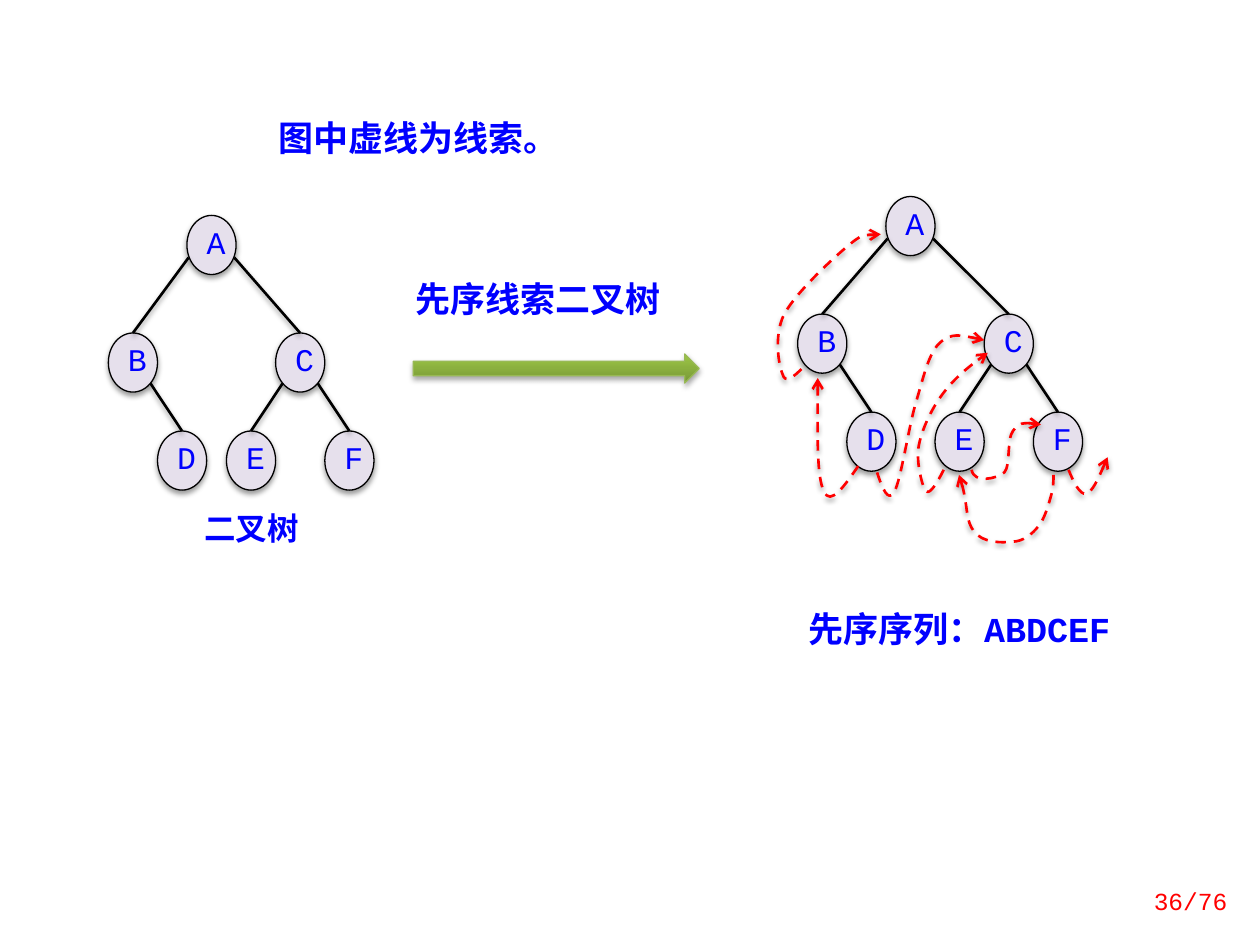
from dataclasses import dataclass
from lxml.etree import SubElement
from pptx import Presentation
from pptx.dml.color import RGBColor
from pptx.enum.dml import MSO_LINE_DASH_STYLE as Dash
from pptx.enum.shapes import MSO_CONNECTOR as Connector, MSO_SHAPE as Shape
from pptx.enum.text import MSO_ANCHOR as Anchor, PP_ALIGN as Align
from pptx.oxml.ns import qn
from pptx.util import Pt


@dataclass(frozen=True)
class Theme:
    """Colours, font and type sizes of the slide."""
    font: str = "Courier New"
    ink: str = "0000FF"
    accent: str = "FF0000"
    edge: str = "000000"
    node: str = "E6E0EC"
    arrow_dark: str = "779737"
    arrow_light: str = "9DC746"
    arrow_line: str = "98B955"
    heading: int = 20
    label: int = 18
    footer: int = 14


THEME = Theme()
NODE_W, NODE_H = 28.1, 33.8
LEVELS = (0, 67.2, 123.2)
THREADS = {
    "B to A": [(2.2, 98.6), (-2.2, 103), (-7.2, 107.3), (-8.6, 101.5), (-10.8, 96.5),
               (-13.7, 79.9), (-7.9, 67.7), (-1.4, 55.4), (18.7, 36.7), (28.1, 28.8),
               (37.4, 20.9), (42.5, 21.6), (47.5, 21.6)],
    "D to B": [(34.6, 154.1), (26.6, 165.6), (18.7, 177.1), (15.1, 168.5),
               (10.8, 160.6), (11.5, 131.8), (11.5, 103.7)],
    "D to C": [(45.4, 157.7), (48.2, 166.3), (51.8, 175.7), (55.4, 168.5), (59, 162),
               (63.4, 131.8), (67.7, 117.4), (72, 103), (74.9, 89.3), (81.4, 83.5),
               (87.8, 77.8), (97.2, 79.9), (106.6, 82.1)],
    "E to C": [(83.5, 156.2), (79.9, 163.4), (75.6, 170.6), (73.4, 168.5), (71.3, 166.3),
               (67.7, 151.9), (69.1, 143.3), (70.6, 133.9), (76.3, 121.7), (82.8, 113),
               (89.3, 104.4), (98.6, 96.5), (108.7, 89.3)],
    "E to F": [(99.4, 156.2), (100.8, 164.2), (113.8, 161.3), (118.1, 157.7),
               (121.7, 154.1), (119.5, 138.2), (123.1, 133.9), (126.7, 128.9),
               (133.9, 128.9), (139, 130.3)],
    "F to end": [(154.8, 156.2), (157.7, 163.4), (161.3, 170.6), (164.9, 169.9),
                 (168.5, 168.5), (172.8, 159.1), (177.1, 149)],
    "F to E": [(146.2, 159.1), (146.2, 162.7), (146.2, 166.3), (144.7, 171.4),
               (143.3, 176.4), (141.1, 184.3), (137.5, 188.6), (133.9, 193),
               (128.9, 197.3), (122.4, 197.3), (116.6, 198), (105.8, 198),
               (100.8, 191.5), (95.8, 185), (97.9, 175.7), (92.2, 159.1)],
}


def rgb(code):
    """Turn a hex code into a colour."""
    return RGBColor.from_string(code)


def cast_shadow(shape, opacity=38):
    """Give a finished shape or line a soft shadow below it."""
    effects = SubElement(shape.element.spPr, qn("a:effectLst"))
    shadow = SubElement(effects, qn("a:outerShdw"), blurRad=str(Pt(3.1)), dist=str(Pt(1.7)),
                        dir="5400000", rotWithShape="0")
    black = SubElement(shadow, qn("a:srgbClr"), val=THEME.edge)
    SubElement(black, qn("a:alpha"), val=str(opacity * 1000))


def set_line(shape, color, width):
    """Set the colour and width of an outline."""
    shape.line.color.rgb = rgb(color)
    shape.line.width = Pt(width)


def write(shape, text, size, color=THEME.ink, bold=False, align=Align.LEFT,
          anchor=Anchor.TOP, spacing=0.8):
    """Put one formatted line of text into a shape."""
    frame = shape.text_frame
    frame.word_wrap = True
    frame.vertical_anchor = anchor
    para = frame.paragraphs[0]
    para.alignment = align
    para.line_spacing = spacing
    span = para.add_run()
    span.text = text
    span.font.name = THEME.font
    span.font.size = Pt(size)
    span.font.bold = bold
    span.font.color.rgb = rgb(color)


def add_text(shapes, box, text, size, **style):
    """Add a text box in the given box."""
    write(shapes.add_textbox(*map(Pt, box)), text, size, **style)


def add_node(shapes, name, left, top):
    """Add one round tree node."""
    node = shapes.add_shape(Shape.OVAL, Pt(left), Pt(top), Pt(NODE_W), Pt(NODE_H))
    node.fill.solid()
    node.fill.fore_color.rgb = rgb(THEME.node)
    set_line(node, THEME.edge, 0.75)
    cast_shadow(node)
    write(node, name, THEME.label, align=Align.CENTER, anchor=Anchor.MIDDLE)
    return node


def add_edge(shapes, parent, child, inset, drop):
    """Join the lower flank of a parent to the top of its child."""
    goes_left = child.left < parent.left
    start = parent.left + (Pt(inset) if goes_left else parent.width - Pt(inset))
    edge = shapes.add_connector(Connector.STRAIGHT, start, parent.top + Pt(drop),
                                child.left, child.top)
    edge.end_connect(child, 0)
    set_line(edge, THEME.edge, 1.5)
    cast_shadow(edge)


def add_tree(page, left, top, root_x, right_x):
    """Draw the binary tree from its top left corner and return its group."""
    shapes = page.shapes.add_group_shape().shapes
    places = {"A": (root_x, 0), "B": (0, 1), "D": (NODE_W, 2), "C": (right_x, 1),
              "E": (right_x - NODE_W, 2), "F": (right_x + NODE_W, 2)}
    nodes = {name: add_node(shapes, name, left + x, top + LEVELS[level])
             for name, (x, level) in places.items()}
    for parent, child in ("AB", "AC", "BD", "CE", "CF"):
        inset, drop = (1, 24.1) if parent == "A" else (4, 28.8)
        add_edge(shapes, nodes[parent], nodes[child], inset, drop)
    return shapes


def add_thread(shapes, left, top, points):
    """Draw a dashed curved arrow through Bezier control points."""
    first, *rest = [(Pt(left + x), Pt(top + y)) for x, y in points]
    builder = shapes.build_freeform(*first)
    builder.add_line_segments(rest, close=False)
    thread = builder.convert_to_shape()
    outline = next(thread.element.iter(qn("a:path")))
    steps = outline.findall(qn("a:lnTo"))
    for index in range(0, len(steps), 3):
        curve = SubElement(outline, qn("a:cubicBezTo"))
        for step in steps[index:index + 3]:
            curve.append(step[0])
            outline.remove(step)
    thread.fill.background()
    set_line(thread, THEME.accent, 1.5)
    thread.line.dash_style = Dash.DASH
    SubElement(thread.element.spPr.find(qn("a:ln")), qn("a:tailEnd"), type="arrow")
    cast_shadow(thread)


def add_threaded_tree(page, left, top):
    """Draw the tree with its preorder threads."""
    shapes = add_tree(page, left, top, 50.4, 106.6)
    for points in THREADS.values():
        add_thread(shapes, left, top, points)


def add_step(page, left, top):
    """Draw the captioned arrow between the two trees."""
    arrow = page.shapes.add_shape(Shape.RIGHT_ARROW, Pt(left + 5.8), Pt(top + 42.5),
                                  Pt(163.4), Pt(16.6))
    arrow.fill.gradient()
    arrow.fill.gradient_angle = 90
    for stop, color in zip(arrow.fill.gradient_stops, (THEME.arrow_dark, THEME.arrow_light)):
        stop.color.rgb = rgb(color)
    set_line(arrow, THEME.arrow_line, 0.75)
    cast_shadow(arrow, 35)
    add_text(page.shapes, (left, top, 157.7, 26.6), "先序线索二叉树", THEME.heading, bold=True)


def main():
    """Build and save the slide."""
    deck = Presentation()
    deck.slide_width, deck.slide_height = Pt(720), Pt(540)
    page = deck.slides.add_slide(deck.slide_layouts[6])
    add_text(page.shapes, (151.9, 67.7, 208, 26.6), "图中虚线为线索。", THEME.heading, bold=True)
    tree = add_tree(page, 61.9, 123.1, 44.9, 95.6)
    add_text(tree, (101.5, 291.6, 84.2, 24.5), "二叉树", THEME.label, bold=True,
             align=Align.CENTER)
    add_text(page.shapes, (450, 348.5, 196.6, 26.6), "先序序列：ABDCEF", THEME.heading,
             bold=True, align=Align.CENTER)
    add_step(page, 230.4, 159.8)
    add_threaded_tree(page, 455.8, 112.3)
    add_text(page.shapes, (632.2, 500.4, 76.3, 28.8), "36/76", THEME.footer,
             color=THEME.accent, align=Align.RIGHT, anchor=Anchor.MIDDLE, spacing=1.0)
    deck.save("out.pptx")


if __name__ == "__main__":
    main()
